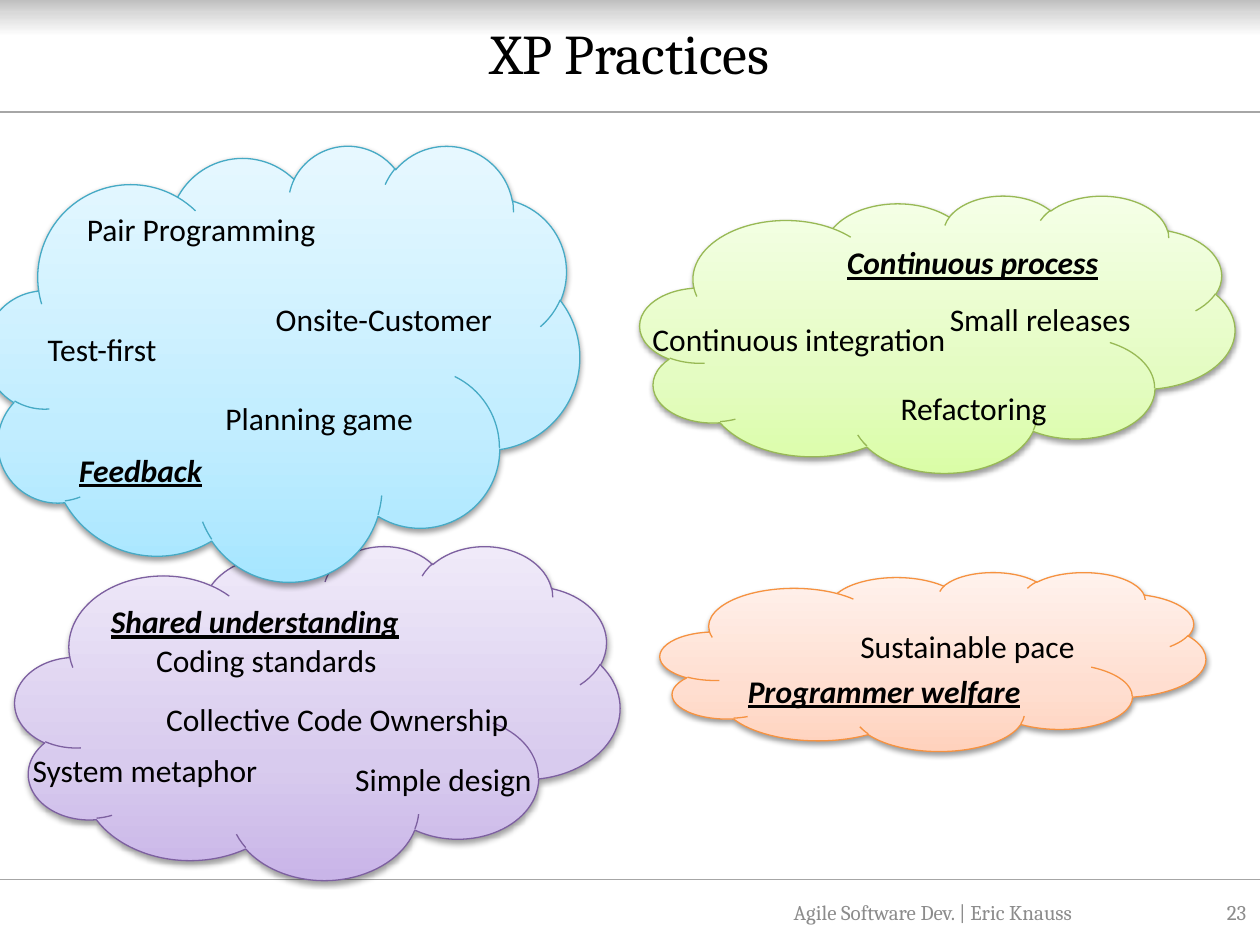
from pptx import Presentation
from pptx.dml.color import RGBColor
from pptx.enum.shapes import MSO_CONNECTOR, MSO_SHAPE
from pptx.enum.text import MSO_ANCHOR, MSO_AUTO_SIZE, PP_ALIGN
from pptx.oxml import parse_xml
from pptx.oxml.ns import nsdecls
from pptx.util import Inches, Pt

LEFT, CENTER, RIGHT = PP_ALIGN.LEFT, PP_ALIGN.CENTER, PP_ALIGN.RIGHT
TOP, MIDDLE, BOTTOM = MSO_ANCHOR.TOP, MSO_ANCHOR.MIDDLE, MSO_ANCHOR.BOTTOM
CLOUD, RECTANGLE = MSO_SHAPE.CLOUD, MSO_SHAPE.RECTANGLE
STRAIGHT = MSO_CONNECTOR.STRAIGHT
FIT_SHAPE = MSO_AUTO_SIZE.SHAPE_TO_FIT_TEXT

COLORS = {"text": "000000", "footer": "8C8C8C", "rule": "A6A6A6",
          "green": "98B955", "purple": "7D60A0", "orange": "F69240", "blue": "46AAC5"}
GRADIENTS = {
    "header": ("BFBFBF", "D9D9D9", "FFFFFF"),
    "green": ("DAFDA7", "E4FCC2", "F5FFE7"),
    "purple": ("C9B5E8", "D8CBEE", "F0EAF9"),
    "orange": ("FFD2BD", "FFDED0", "FFF2ED"),
    "blue": ("A7E6FF", "C1EDFF", "E7F8FF"),
}

TITLE = "XP Practices"
THEMES = [
    ("Continuous process", "green", (5.08, 1.55, 4.72, 2.2), RIGHT, TOP),
    ("Shared understanding", "purple", (0.12, 4.33, 4.8, 2.65), LEFT, TOP),
    ("Programmer welfare", "orange", (5.24, 4.54, 4.33, 1.42), LEFT, BOTTOM),
    ("Feedback", "blue", (-0.12, 1.15, 4.72, 3.46), LEFT, BOTTOM),
]
PRACTICES = [
    ("Pair Programming", 0.59, 1.62, 2.05),
    ("Planning game", 1.69, 3.12, 1.71),
    ("Test-first", 0.28, 2.57, 1.12),
    ("Onsite-Customer", 2.09, 2.33, 1.94),
    ("Continuous integration", 5.08, 2.49, 2.56),
    ("Refactoring", 7.05, 3.04, 1.38),
    ("Small releases", 7.44, 2.33, 1.66),
    ("System metaphor", 0.16, 5.91, 2.02),
    ("Simple design", 2.72, 5.98, 1.62),
    ("Collective Code Ownership", 1.22, 5.51, 2.95),
    ("Coding standards", 1.14, 5.04, 1.98),
    ("Sustainable pace", 6.73, 4.93, 1.93),
]
FOOTERS = [
    ("Agile Software Dev. | Eric Knauss", 5.82, 3.17, CENTER),
    ("23", 9.07, 0.92, RIGHT),
]
RULES = [6.98, 0.89]
ROW_HEIGHT = 0.4
FOOTER_TOP = 7.04


def inches(*lengths):
    return [Inches(length) for length in lengths]


def write(frame, text, size=18, font="Calibri", color="text", align=LEFT,
          anchor=TOP, wrap=True, emphasis=False):
    frame.word_wrap = wrap
    frame.vertical_anchor = anchor
    paragraph = frame.paragraphs[0]
    paragraph.alignment = align
    run = paragraph.add_run()
    run.text = text
    run.font.size = Pt(size)
    run.font.name = font
    run.font.color.rgb = RGBColor.from_string(COLORS[color])
    if emphasis:
        run.font.bold = run.font.italic = run.font.underline = True


def add_gradient_shape(slide, preset, box, gradient, middle_stop, angle):
    shape = slide.shapes.add_shape(preset, *inches(*box))
    stops = "".join(
        f'<a:gs pos="{stop * 1000}"><a:srgbClr val="{color}"/></a:gs>'
        for stop, color in zip((0, middle_stop, 100), GRADIENTS[gradient]))
    shape.element.spPr.insert(2, parse_xml(
        f'<a:gradFill {nsdecls("a")} rotWithShape="1"><a:gsLst>{stops}</a:gsLst>'
        f'<a:lin ang="{angle * 60000}" scaled="0"/></a:gradFill>'))
    shape.shadow.inherit = False
    return shape


def add_theme(slide, name, color, box, align, anchor):
    cloud = add_gradient_shape(slide, CLOUD, box, color, 35, 270)
    cloud.line.color.rgb = RGBColor.from_string(COLORS[color])
    cloud.line.width = Pt(0.75)
    cloud.element.spPr[-1].append(parse_xml(
        f'<a:outerShdw {nsdecls("a")} blurRad="40000" dist="20000" dir="5400000" '
        'rotWithShape="0"><a:srgbClr val="000000"><a:alpha val="38000"/>'
        '</a:srgbClr></a:outerShdw>'))
    write(cloud.text_frame, name, align=align, anchor=anchor, emphasis=True)


def add_rule(slide, top):
    rule = slide.shapes.add_connector(STRAIGHT, *inches(0, top, 10, top))
    rule.line.color.rgb = RGBColor.from_string(COLORS["rule"])
    rule.line.width = Pt(0.75)
    rule.element.spPr.append(parse_xml(f'<a:effectLst {nsdecls("a")}/>'))


def main():
    """Build the XP practices slide."""
    deck = Presentation()
    deck.slide_width, deck.slide_height = inches(10, 7.5)
    slide = deck.slides.add_slide(deck.slide_layouts[5])

    header = add_gradient_shape(slide, RECTANGLE, (0, 0, 10, 0.29), "header", 34, 90)
    header.line.fill.background()
    for top in RULES:
        add_rule(slide, top)
    for theme in THEMES:
        add_theme(slide, *theme)

    title = slide.shapes.title
    title.left, title.top, title.width, title.height = inches(0.5, 0.03, 9, 0.77)
    write(title.text_frame, TITLE, size=32, font="Cambria", align=CENTER, anchor=MIDDLE)
    title.element.getparent().append(title.element)

    for name, left, top, width in PRACTICES:
        practice = slide.shapes.add_textbox(*inches(left, top, width, ROW_HEIGHT))
        write(practice.text_frame, name, wrap=False)
        practice.text_frame.auto_size = FIT_SHAPE
    for text, left, width, align in FOOTERS:
        footer = slide.shapes.add_textbox(*inches(left, FOOTER_TOP, width, ROW_HEIGHT))
        write(footer.text_frame, text, size=12, font="Cambria", color="footer",
              align=align, anchor=MIDDLE)

    deck.save("out.pptx")


if __name__ == "__main__":
    main()
